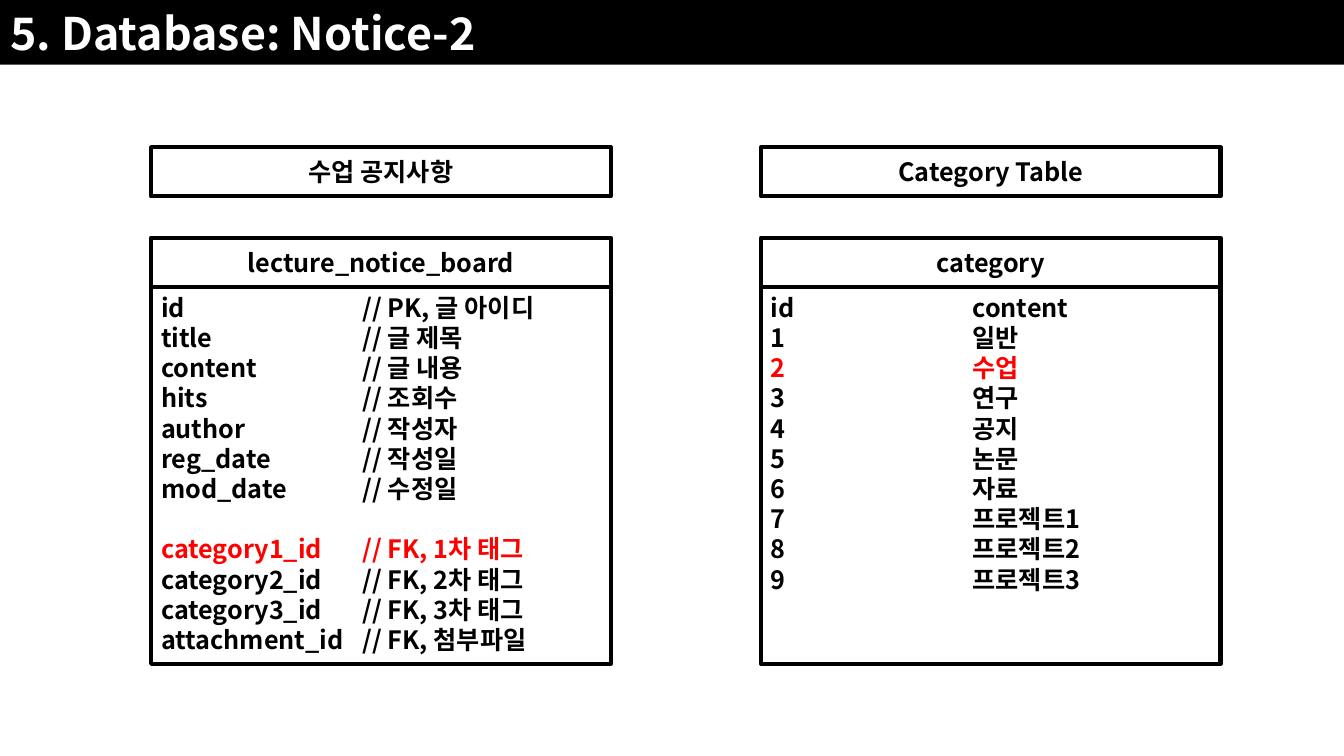
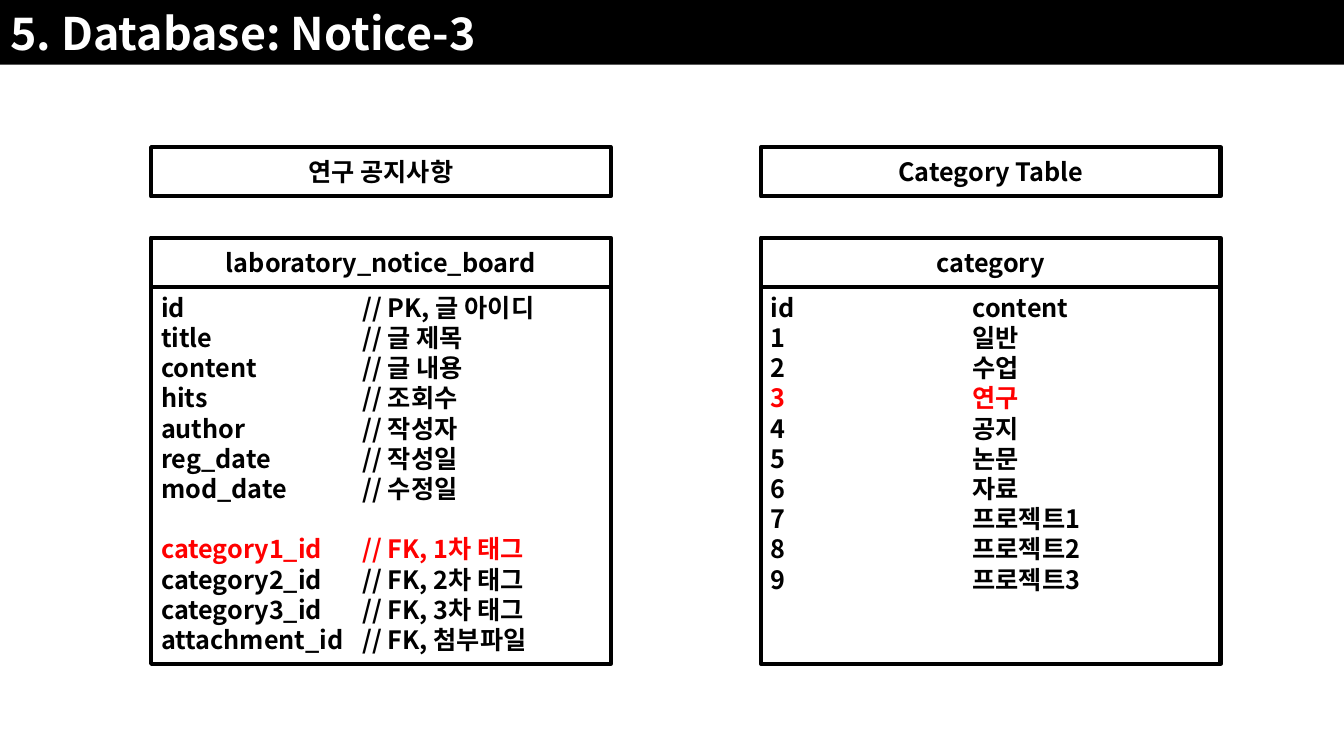
from dataclasses import dataclass

from lxml import etree
from pptx import Presentation
from pptx.dml.color import RGBColor
from pptx.enum.shapes import MSO_SHAPE
from pptx.enum.text import MSO_ANCHOR, MSO_AUTO_SIZE, PP_ALIGN
from pptx.oxml.ns import qn
from pptx.shapes.autoshape import Shape
from pptx.slide import Slide
from pptx.util import Cm, Pt

RECT = MSO_SHAPE.RECTANGLE
TOP, MIDDLE = MSO_ANCHOR.TOP, MSO_ANCHOR.MIDDLE
LEFT, CENTER = PP_ALIGN.LEFT, PP_ALIGN.CENTER
NO_FIT = MSO_AUTO_SIZE.NONE
TITLE_ONLY = 5


@dataclass(frozen=True)
class Theme:
    font: str = "Noto Sans CJK KR"
    ink: RGBColor = RGBColor(0, 0, 0)
    paper: RGBColor = RGBColor(255, 255, 255)
    accent: RGBColor = RGBColor(255, 0, 0)
    title: float = 32
    body: float = 18
    border: float = 3
    leading: float = 1.2


@dataclass(frozen=True)
class Row:
    key: str
    note: str
    gap: bool = False


@dataclass(frozen=True)
class Panel:
    label: str
    name: str
    rows: list[Row]
    marked: str


@dataclass(frozen=True)
class Page:
    title: str
    panels: list[Panel]


THEME = Theme()
WIDTH, HEIGHT = Cm(33.87), Cm(19.05)
BAND = Cm(1.63)
START, STEP = Cm(3.81), Cm(15.37)
BOX, BAR, LIST = Cm(11.58), Cm(1.24), Cm(9.5)
LABEL_TOP, TABLE_TOP = Cm(3.71), Cm(5.99)
TAB = Cm(5.08)

FIELDS = [
    Row("id", "// PK, 글 아이디"),
    Row("title", "// 글 제목"),
    Row("content", "// 글 내용"),
    Row("hits", "// 조회수"),
    Row("author", "// 작성자"),
    Row("reg_date", "// 작성일"),
    Row("mod_date", "// 수정일"),
    Row("category1_id", "// FK, 1차 태그", gap=True),
    Row("category2_id", "// FK, 2차 태그"),
    Row("category3_id", "// FK, 3차 태그"),
    Row("attachment_id", "// FK, 첨부파일"),
]
KINDS = ["일반", "수업", "연구", "공지", "논문", "자료",
         "프로젝트1", "프로젝트2", "프로젝트3"]
LOOKUP = [Row("id", "content")] + [
    Row(str(num), kind) for num, kind in enumerate(KINDS, 1)
]


def make_page(num: int, label: str, name: str, marked: str) -> Page:
    return Page(f"5. Database: Notice-{num}", [
        Panel(label, name, FIELDS, "category1_id"),
        Panel("Category Table", "category", LOOKUP, marked),
    ])


PAGES = [
    make_page(2, "수업 공지사항", "lecture_notice_board", "2"),
    make_page(3, "연구 공지사항", "laboratory_notice_board", "3"),
]


def style(para, size: float, color: RGBColor, align: PP_ALIGN) -> None:
    para.alignment = align
    para.line_spacing = Pt(size * THEME.leading)
    para.space_before = Pt(0)
    for run in para.runs:
        font = run.font
        font.size, font.bold = Pt(size), True
        font.color.rgb = color
        font.name = THEME.font
        east = etree.SubElement(font._element, qn("a:ea"))
        east.set("typeface", THEME.font)


def add_tab(para) -> None:
    stops = etree.SubElement(para._p.get_or_add_pPr(), qn("a:tabLst"))
    etree.SubElement(stops, qn("a:tab"), pos=str(TAB), algn="l")


def add_title(slide: Slide, text: str) -> None:
    title = slide.shapes.title
    title.left, title.top, title.width, title.height = 0, 0, WIDTH, BAND
    title.fill.solid()
    title.fill.fore_color.rgb = THEME.ink
    frame = title.text_frame
    frame.text = text
    frame.auto_size = NO_FIT
    frame.vertical_anchor = MIDDLE
    style(frame.paragraphs[0], THEME.title, THEME.paper, LEFT)


def add_box(slide: Slide, left: int, top: int, height: int,
            text: str) -> Shape:
    box = slide.shapes.add_shape(RECT, left, top, BOX, height)
    box.shadow.inherit = False
    box.fill.background()
    box.line.color.rgb = THEME.ink
    box.line.width = Pt(THEME.border)
    frame = box.text_frame
    frame.word_wrap = True
    frame.vertical_anchor = MIDDLE
    frame.text = text
    for para in frame.paragraphs:
        style(para, THEME.body, THEME.ink, CENTER)
    return box


def add_list(slide: Slide, left: int, panel: Panel) -> None:
    text = "\n".join(f"{row.key}\t{row.note}" for row in panel.rows)
    box = add_box(slide, left, TABLE_TOP + BAR, LIST, text)
    frame = box.text_frame
    frame.vertical_anchor = TOP
    for row, para in zip(panel.rows, frame.paragraphs):
        para.alignment = LEFT
        if row.gap:
            para.space_before = Pt(THEME.body * THEME.leading)
        if row.key == panel.marked:
            for run in para.runs:
                run.font.color.rgb = THEME.accent
        add_tab(para)


def add_panel(slide: Slide, left: int, panel: Panel) -> None:
    add_list(slide, left, panel)
    add_box(slide, left, TABLE_TOP, BAR, panel.name)
    add_box(slide, left, LABEL_TOP, BAR, panel.label)


def main() -> None:
    deck = Presentation()
    deck.slide_width, deck.slide_height = WIDTH, HEIGHT
    for page in PAGES:
        slide = deck.slides.add_slide(deck.slide_layouts[TITLE_ONLY])
        add_title(slide, page.title)
        for col, panel in enumerate(page.panels):
            add_panel(slide, START + col * STEP, panel)
    deck.save("out.pptx")


if __name__ == "__main__":
    main()
